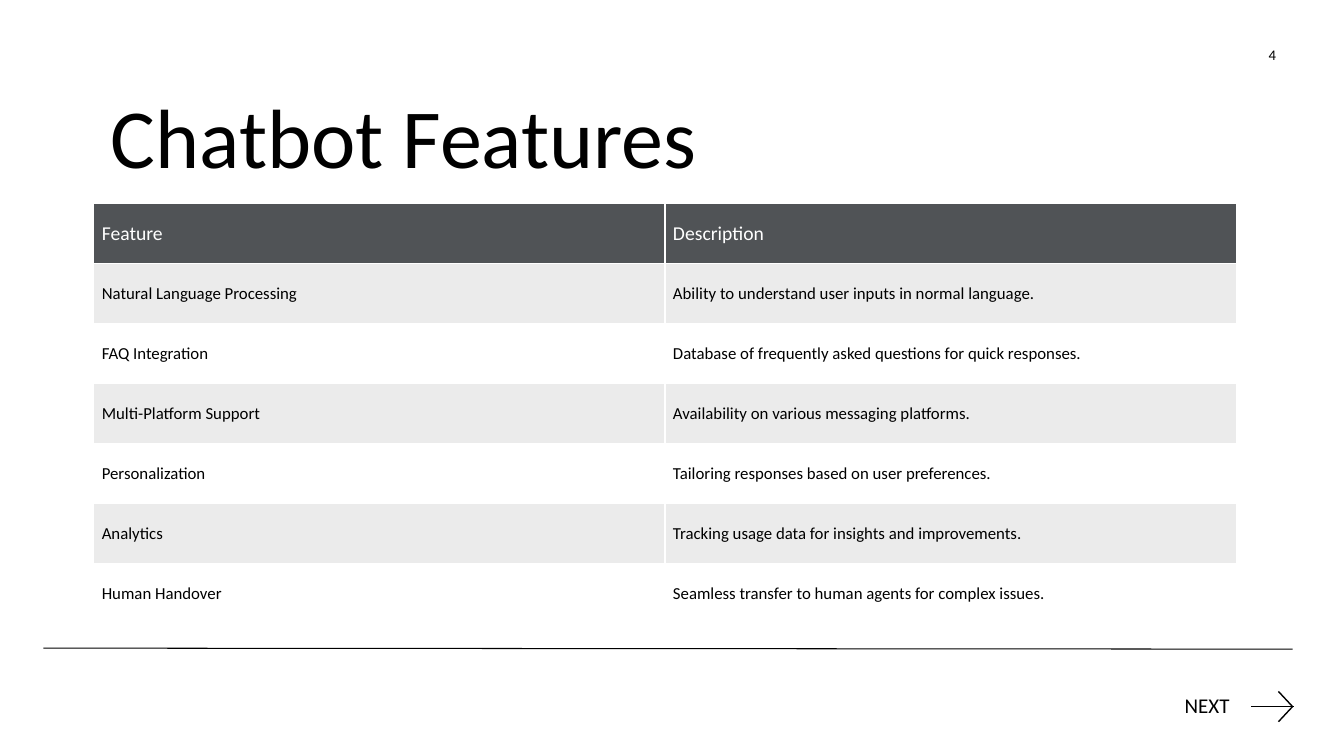
from pptx import Presentation
from pptx.dml.color import RGBColor
from pptx.enum.text import MSO_ANCHOR, PP_ALIGN
from pptx.oxml.ns import qn
from pptx.util import Inches, Pt
from lxml import etree

MIDDLE, TOP = MSO_ANCHOR.MIDDLE, MSO_ANCHOR.TOP
LEFT, CENTER = PP_ALIGN.LEFT, PP_ALIGN.CENTER
FONT = "Calibri"
COLORS = {"black": "000000", "white": "FFFFFF", "header": "505356", "band": "EBEBEB"}

presentation = Presentation()
presentation.slide_width = Inches(13.33)
presentation.slide_height = Inches(7.5)
slide = presentation.slides.add_slide(presentation.slide_layouts[6])


def style_text(paragraph, text, size, color="black"):
    paragraph.text = text
    paragraph.font.name = FONT
    paragraph.font.size = Pt(size)
    paragraph.font.color.rgb = RGBColor.from_string(COLORS[color])


# Divider and the arrow beside NEXT
lines = [
    (12.41, 7.01, 12.83, 7.01, 1),
    (12.68, 6.86, 12.82, 7.01, 1),
    (12.68, 7.16, 12.82, 7.01, 1),
    (0.43, 6.43, 12.82, 6.44, 0.75),
]
for x1, y1, x2, y2, width in lines:
    line = slide.shapes.add_connector(1, Inches(x1), Inches(y1), Inches(x2), Inches(y2))
    line.line.color.rgb = RGBColor.from_string(COLORS["black"])
    line.line.width = Pt(width)
    etree.SubElement(line._element.spPr, qn("a:effectLst"))

# Feature table
features = [
    ("Feature", "Description"),
    ("Natural Language Processing", "Ability to understand user inputs in normal language."),
    ("FAQ Integration", "Database of frequently asked questions for quick responses."),
    ("Multi-Platform Support", "Availability on various messaging platforms."),
    ("Personalization", "Tailoring responses based on user preferences."),
    ("Analytics", "Tracking usage data for insights and improvements."),
    ("Human Handover", "Seamless transfer to human agents for complex issues."),
]
table = slide.shapes.add_table(
    len(features), 2, Inches(0.93), Inches(2.02), Inches(11.33), Inches(4.17)
).table
for row_index, row in enumerate(features):
    if row_index == 0:
        fill, size, color = "header", 14, "white"
    else:
        fill, size, color = "band" if row_index % 2 else "white", 12, "black"
    for column_index, text in enumerate(row):
        cell = table.cell(row_index, column_index)
        cell.vertical_anchor = MIDDLE
        cell.margin_left = cell.margin_right = Inches(0.08)
        cell.margin_top = cell.margin_bottom = Inches(0.08)
        style_text(cell.text_frame.paragraphs[0], text, size, color)
        properties = cell._tc.get_or_add_tcPr()
        for side in ("lnL", "lnR", "lnT", "lnB"):
            border = etree.SubElement(properties, qn(f"a:{side}"), w=str(Pt(1)))
            border_fill = etree.SubElement(border, qn("a:solidFill"))
            etree.SubElement(border_fill, qn("a:srgbClr"), val=COLORS["white"])
        cell.fill.solid()
        cell.fill.fore_color.rgb = RGBColor.from_string(COLORS[fill])

# Title, page number and NEXT label
labels = [
    ("Chatbot Features", 1, 0.79, 11.42, 1.44, 60, TOP, LEFT, 0.1, 1),
    ("4", 12.42, 0.35, 0.4, 0.39, 10.5, MIDDLE, CENTER, 0.1, 1),
    ("NEXT", 11.71, 6.85, 0.83, 0.33, 15, TOP, LEFT, 0.04, 0.9),
]
for text, left, top, width, height, size, anchor, alignment, margin, spacing in labels:
    box = slide.shapes.add_textbox(Inches(left), Inches(top), Inches(width), Inches(height))
    frame = box.text_frame
    frame.word_wrap = True
    frame.vertical_anchor = anchor
    frame.margin_left = frame.margin_right = Inches(margin)
    paragraph = frame.paragraphs[0]
    paragraph.alignment = alignment
    paragraph.line_spacing = spacing
    style_text(paragraph, text, size)

presentation.save("out.pptx")
